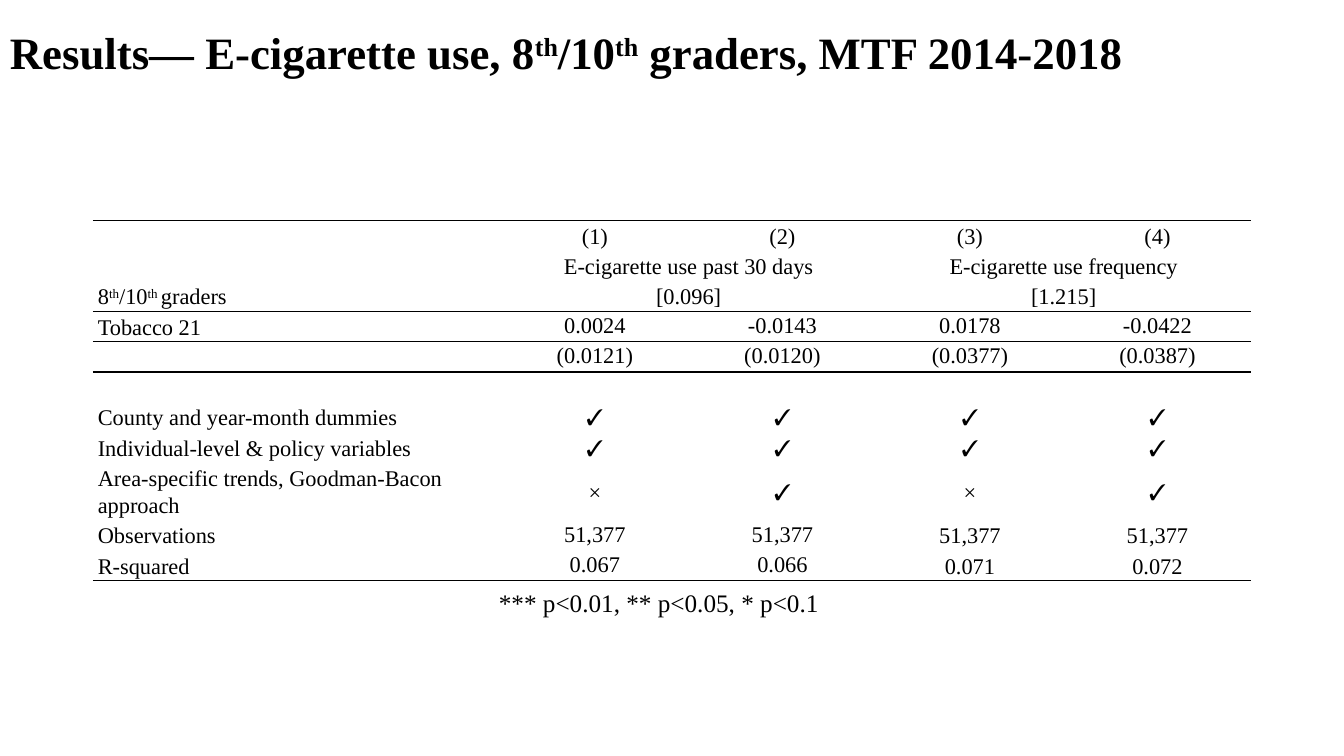
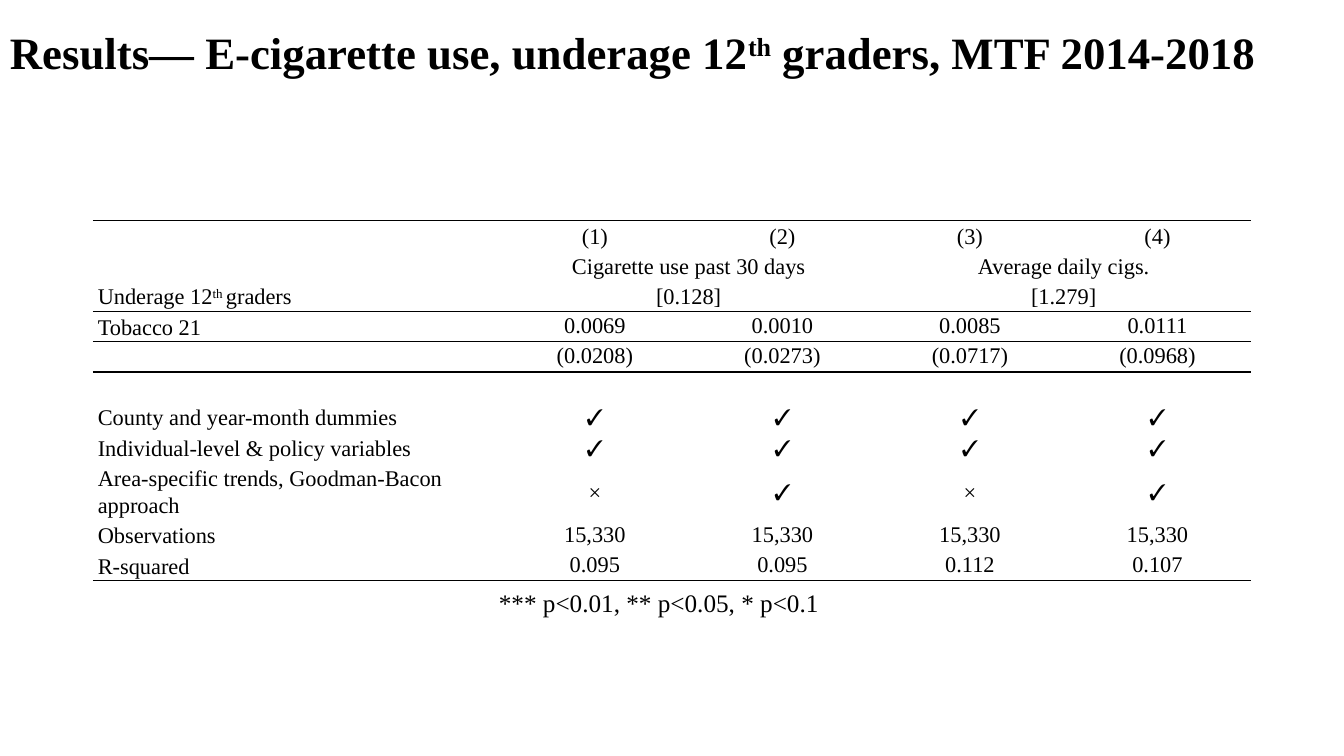
from lxml import etree
from pptx import Presentation
from pptx.dml.color import RGBColor
from pptx.enum import text
from pptx.oxml.ns import qn
from pptx.util import Inches, Pt

# Shared style
FONT, INK = "Times New Roman", "000000"
NO_STYLE = "{2D5ABB26-0587-4C30-8999-92F81FD0307C}"
LABEL_W, VALUE_W, ROW_H, TALL_ROW_H = 4.05, 1.86, 0.3, 0.57
MIDDLE, TOP = text.MSO_ANCHOR.MIDDLE, text.MSO_ANCHOR.TOP

# Content: text between ^ marks is superscript
NOTE = "*** p<0.01, ** p<0.05, * p<0.1"
NUMBERS = ["(1)", "(2)", "(3)", "(4)"]
CONTROLS = [
    ("County and year-month dummies", ["✓", "✓", "✓", "✓"]),
    ("Individual-level & policy variables", ["✓", "✓", "✓", "✓"]),
    ("Area-specific trends, Goodman-Bacon approach", ["×", "✓", "×", "✓"]),
]
RESULTS = [
    dict(title="Results— E-cigarette use, 8^th^/10^th^ graders, MTF 2014-2018",
         group="8^th^/10^th ^graders",
         outcomes=["E-cigarette use past 30 days", "E-cigarette use frequency"],
         means=["[0.096]", "[1.215]"],
         effects=["0.0024", "-0.0143", "0.0178", "-0.0422"],
         errors=["(0.0121)", "(0.0120)", "(0.0377)", "(0.0387)"],
         observations="51,377",
         r_squared=["0.067", "0.066", "0.071", "0.072"],
         top_columns=2),
    dict(title="Results— E-cigarette use, underage 12^th^ graders, MTF 2014-2018",
         group="Underage 12^th ^graders",
         outcomes=["Cigarette use past 30 days", "Average daily cigs."],
         means=["[0.128]", "[1.279]"],
         effects=["0.0069", "0.0010", "0.0085", "0.0111"],
         errors=["(0.0208)", "(0.0273)", "(0.0717)", "(0.0968)"],
         observations="15,330",
         r_squared=["0.095", "0.095", "0.112", "0.107"],
         top_columns=4),
]
PAIRED_ROWS = (1, 2)
TALL_ROW = 8
RULES = {"a:lnT": (0, 3, 4), "a:lnB": (2, 3, 10)}


def rgb(color):
    return RGBColor.from_string(color)


def write(p, marked, size, bold=False):
    for i, part in enumerate(marked.split("^")):
        if not part:
            continue
        r = p.add_run()
        r.text = part
        r.font.name, r.font.size, r.font.bold = FONT, Pt(size), bold
        r.font.color.rgb = rgb(INK)
        if i % 2:
            r.font._element.set("baseline", "30000")


def add_text(s, box, marked, size, wrap=True, bold=False):
    tf = s.shapes.add_textbox(*map(Inches, box)).text_frame
    tf.word_wrap = wrap
    write(tf.paragraphs[0], marked, size, bold)
    return tf


def add_rule(cell, tag):
    tcPr = cell._tc.get_or_add_tcPr()
    ln = etree.Element(qn(tag), w=str(Pt(1)))
    fill = etree.SubElement(ln, qn("a:solidFill"))
    etree.SubElement(fill, qn("a:srgbClr"), val=INK)
    tcPr.insert(len(tcPr.findall(qn("a:lnT"))), ln)


def table_rows(d):
    def paired(values):
        return [values[0], "", values[1], ""]

    return [("", NUMBERS), ("", paired(d["outcomes"])),
            (d["group"], paired(d["means"])),
            ("Tobacco 21", d["effects"]), ("", d["errors"]), ("", [""] * 4),
            *CONTROLS,
            ("Observations", [d["observations"]] * 4),
            ("R-squared", d["r_squared"])]


def anchor(row, col, top_columns):
    if col and (row in (3, 4) or (row > TALL_ROW and col <= top_columns)):
        return TOP
    return MIDDLE


def add_results_table(s, d):
    rows = table_rows(d)
    widths = [LABEL_W] + [VALUE_W] * 4
    heights = [TALL_ROW_H if i == TALL_ROW else ROW_H for i in range(len(rows))]
    table = s.shapes.add_table(
        len(rows), len(widths), Inches(0.92), Inches(2.19),
        Inches(sum(widths)), Inches(sum(heights))).table
    table.first_row = table.horz_banding = False
    table._tbl.tblPr[0].text = NO_STYLE
    for column, w in zip(table.columns, widths):
        column.width = Inches(w)
    for row, h in zip(table.rows, heights):
        row.height = Inches(h)

    # Cells
    for i, (label, values) in enumerate(rows):
        for j, value in enumerate([label, *values]):
            cell = table.cell(i, j)
            cell.margin_left = cell.margin_right = Inches(0.05)
            cell.margin_top = cell.margin_bottom = 0
            cell.vertical_anchor = anchor(i, j, d["top_columns"])
            cell.fill.background()
            for tag, ruled in RULES.items():
                if i in ruled:
                    add_rule(cell, tag)
            if value:
                p = cell.text_frame.paragraphs[0]
                p.alignment = text.PP_ALIGN.CENTER if j else text.PP_ALIGN.LEFT
                p.line_spacing, p.space_after = 1.07, Pt(8)
                write(p, value, 16)
    for i in PAIRED_ROWS:
        for j in (1, 3):
            table.cell(i, j).merge(table.cell(i, j + 1))


def main():
    prs = Presentation()
    prs.slide_width, prs.slide_height = Inches(13.33), Inches(7.5)
    for d in RESULTS:
        s = prs.slides.add_slide(prs.slide_layouts[6])
        tf = add_text(s, (0, 0, 13.33, 1.09), d["title"], 32, bold=True)
        tf.vertical_anchor = MIDDLE
        tf.paragraphs[0].line_spacing = 0.9
        add_text(s, (4.85, 5.78, 3.4, 0.4), NOTE, 18, wrap=False)
        add_results_table(s, d)
    prs.save("out.pptx")


if __name__ == "__main__":
    main()
